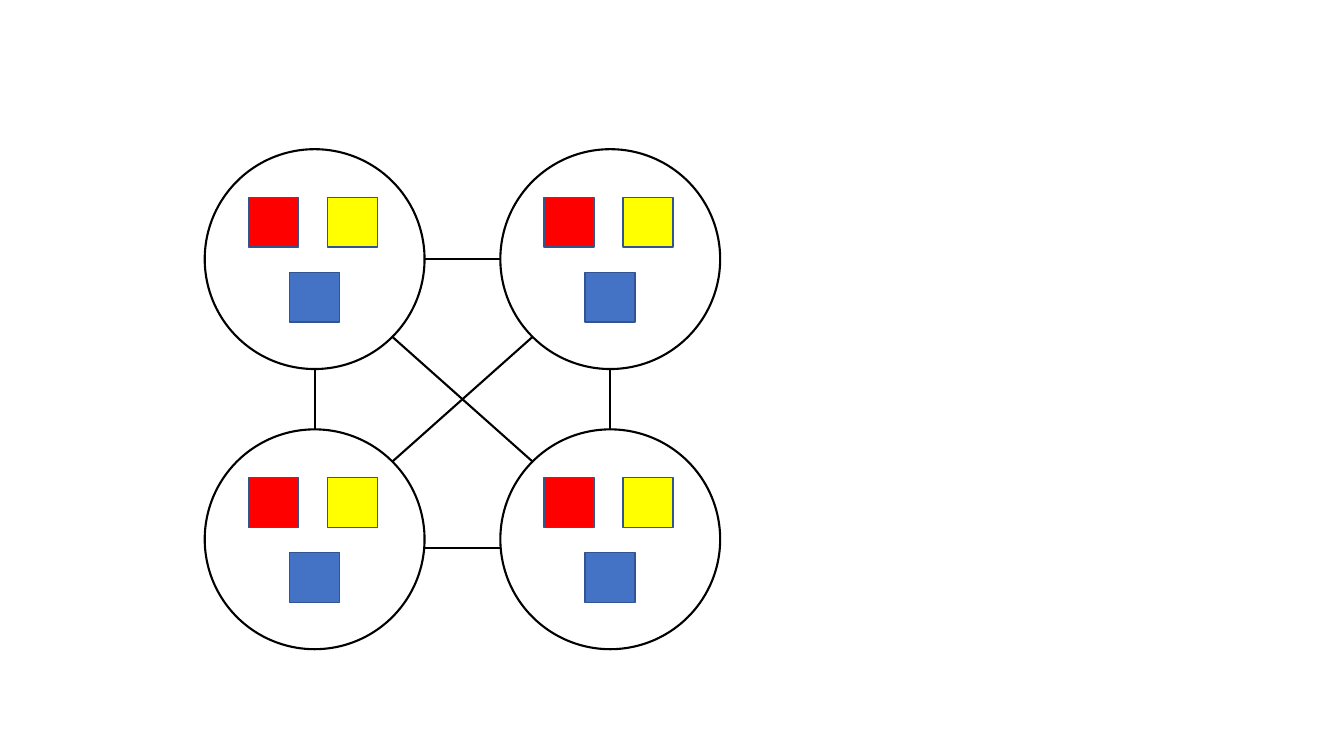
from itertools import product
from math import hypot

from lxml import etree
from pptx import Presentation
from pptx.dml.color import RGBColor
from pptx.enum.shapes import MSO_CONNECTOR, MSO_SHAPE
from pptx.oxml.ns import qn
from pptx.util import Cm, Pt

ELLIPSE = MSO_SHAPE.OVAL
SQUARE = MSO_SHAPE.RECTANGLE
STRAIGHT = MSO_CONNECTOR.STRAIGHT
BLANK_LAYOUT = 6

COLOURS = {
    "black": "000000",
    "red": "FF0000",
    "yellow": "FFFF00",
    "blue": "4472C4",
    "border": "325491",
}
LEFT, TOP = 5.16, 3.76
COLUMN_STEP, ROW_STEP = 7.45, 7.06
DIAMETER, SQUARE_SIZE = 5.54, 1.26
SQUARE_OFFSETS = {"red": (1.1, 1.21), "yellow": (3.09, 1.21), "blue": (2.13, 3.1)}
LINKS = [
    ((0, 0), (1, 0), 0),
    ((0, 0), (0, 1), 0),
    ((0, 0), (1, 1), 0),
    ((0, 1), (1, 1), 0.22),
    ((1, 1), (1, 0), 0),
    ((0, 1), (1, 0), 0),
]


def format_line(line, colour, width):
    """Give a line its colour and its width in points."""
    line.color.rgb = RGBColor.from_string(COLOURS[colour])
    for name, value in {"width": Pt(width)}.items():
        setattr(line, name, value)


def add_outline_shape(group, kind, left, top, size, line, fill=None):
    """Add a shape as wide as it is high, filled only if a fill is named."""
    shape = group.shapes.add_shape(kind, Cm(left), Cm(top), Cm(size), Cm(size))
    shape.shadow.inherit = False
    if fill:
        shape.fill.solid()
        shape.fill.fore_color.rgb = RGBColor.from_string(COLOURS[fill])
    else:
        shape.fill.background()
    format_line(shape.line, *line)


def add_node(slide, column, row):
    """Add a circle grouped with its three coloured squares."""
    left, top = LEFT + column * COLUMN_STEP, TOP + row * ROW_STEP
    group = slide.shapes.add_group_shape()
    add_outline_shape(group, ELLIPSE, left, top, DIAMETER, ("black", 1.5))
    for colour, (right, down) in SQUARE_OFFSETS.items():
        add_outline_shape(group, SQUARE, left + right, top + down, SQUARE_SIZE,
                          ("border", 1), colour)


def rim_point(node, toward):
    """Return the point on a node's circle that faces another grid position."""
    steps = [end - start for start, end in zip(node, toward)]
    reach = DIAMETER / 2 / hypot(*steps)
    origins = LEFT + node[0] * COLUMN_STEP, TOP + node[1] * ROW_STEP
    return [origin + DIAMETER / 2 + step * reach
            for origin, step in zip(origins, steps)]


def add_link(slide, start, end, drop):
    """Join two circles with a straight line, lowered by the given drop."""
    begin_x, begin_y = rim_point(start, end)
    end_x, end_y = rim_point(end, start)
    connector = slide.shapes.add_connector(
        STRAIGHT, Cm(begin_x), Cm(begin_y + drop), Cm(end_x), Cm(end_y + drop))
    format_line(connector.line, "black", 1.5)
    etree.SubElement(connector._element.spPr, qn("a:effectLst"))


def main():
    """Build the slide of four fully linked nodes."""
    presentation = Presentation()
    presentation.slide_width, presentation.slide_height = Cm(33.87), Cm(19.05)
    slide = presentation.slides.add_slide(presentation.slide_layouts[BLANK_LAYOUT])
    for column, row in product(range(2), repeat=2):
        add_node(slide, column, row)
    for start, end, drop in LINKS:
        add_link(slide, start, end, drop)
    presentation.save("out.pptx")


if __name__ == "__main__":
    main()
